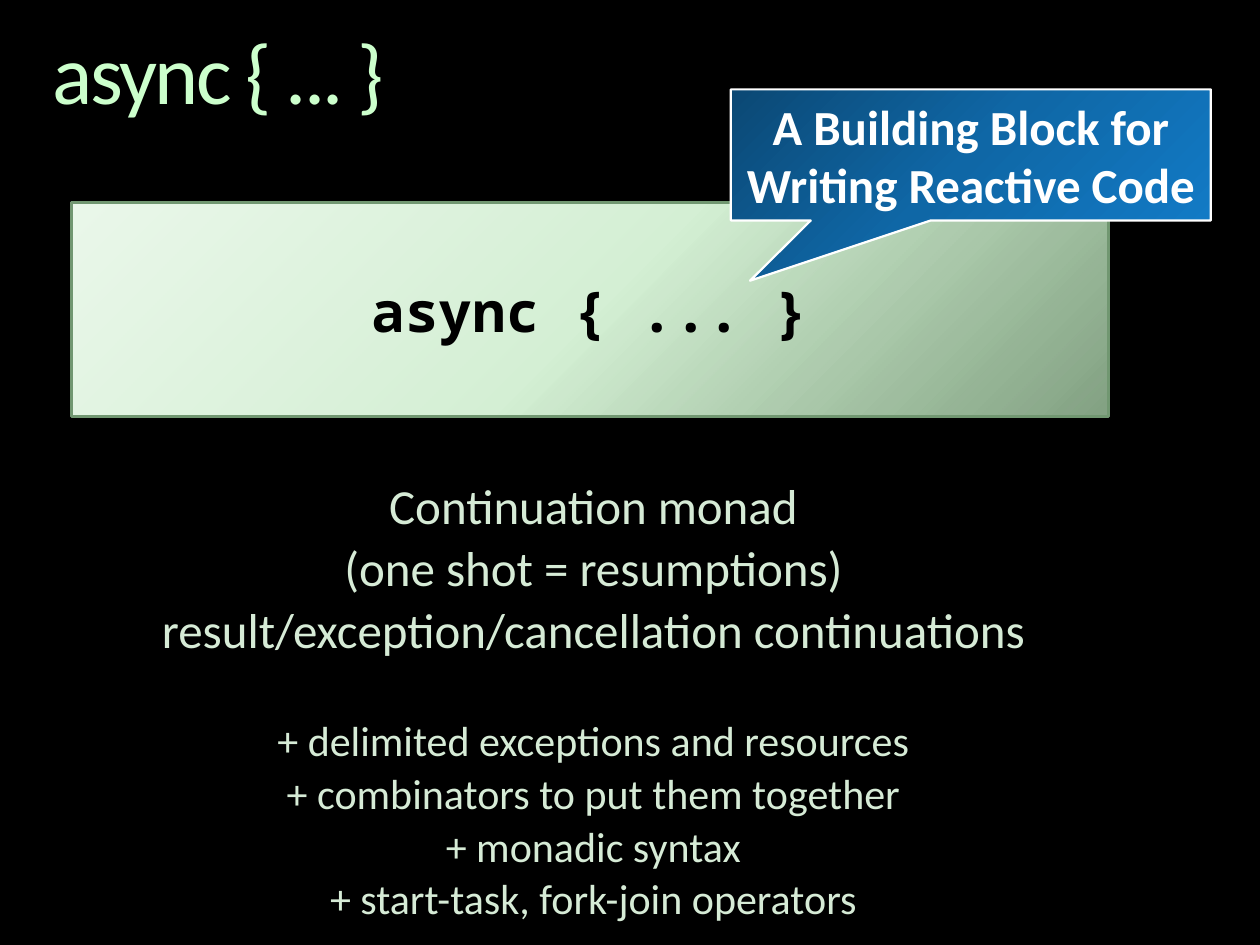
"""Build the async building block slide."""
from lxml import etree
from pptx import Presentation
from pptx.dml.color import RGBColor
from pptx.enum.shapes import MSO_SHAPE
from pptx.enum.text import MSO_ANCHOR, PP_ALIGN
from pptx.oxml.ns import qn
from pptx.util import Inches, Pt

RECT, CALLOUT = MSO_SHAPE.RECTANGLE, MSO_SHAPE.RECTANGULAR_CALLOUT
LEFT, CENTER = PP_ALIGN.LEFT, PP_ALIGN.CENTER
TOP, MIDDLE = MSO_ANCHOR.TOP, MSO_ANCHOR.MIDDLE
BLACK, WHITE = RGBColor(0, 0, 0), RGBColor(255, 255, 255)
MINT, PALE = RGBColor(0xCC, 0xFF, 0xCC), RGBColor(0xD6, 0xEB, 0xD6)
GREEN = RGBColor(0x71, 0x97, 0x71)

# text, size, space before
TITLE = [("async { ... }", 48, 0)]
BODY = [
    ("Continuation monad", 28, 0),
    ("(one shot = resumptions)", 28, 5),
    ("result/exception/cancellation continuations", 28, 5),
    ("+ delimited exceptions and resources", 24, 35),
    ("+ combinators to put them together", 24, 4.3),
    ("+ monadic syntax", 24, 4.3),
    ("+ start-task, fork-join operators", 24, 4.3),
]
CODE = [("async { ... }", 32, 0)]
NOTE = [("A Building Block for", 28, 0), ("Writing Reactive Code", 28, 0)]

PLAIN = {"name": "Calibri", "bold": False}
STRONG = {"name": "Calibri", "bold": True}
MONO = {"name": "Noto Sans Mono", "bold": True}

# kind, place, stops (position, colour, alpha), angle, line colour, line width
PANEL = (RECT, (0.57, 1.61, 8.23, 1.7),
         [(0, "BBE7BB", 69), (50, "D4EFD4", 100), (100, "EAF7EA", 100)],
         225, GREEN, 1.75)
BUBBLE = (CALLOUT, (5.8, 0.71, 3.81, 1.04),
          [(0, "0B4874", 100), (50, "0F67A6", 100), (100, "127AC5", 100)],
          45, WHITE, 1.25)


def write(shape, rows, style, color, align, anchor, inset, ratio=1.0, wrap=True):
    frame = shape.text_frame
    frame.word_wrap, frame.vertical_anchor = wrap, anchor
    for side in ("left", "top", "right", "bottom"):
        setattr(frame, f"margin_{side}", Inches(inset))
    for i, (text, size, gap) in enumerate(rows):
        para = frame.add_paragraph() if i else frame.paragraphs[0]
        para.alignment, para.line_spacing = align, ratio
        para.space_before = Pt(gap)
        run = para.add_run()
        run.text = text
        for key, value in {**style, "size": Pt(size)}.items():
            setattr(run.font, key, value)
        run.font.color.rgb = color
    return frame


def shade(shape, stops, angle):
    shape.fill.gradient()
    grad = shape._element.spPr.find(qn("a:gradFill"))
    for child in list(grad):
        grad.remove(child)
    group = etree.SubElement(grad, qn("a:gsLst"))
    for pos, color, alpha in stops:
        stop = etree.SubElement(group, qn("a:gs"), pos=str(pos * 1000))
        tint = etree.SubElement(stop, qn("a:srgbClr"), val=color)
        if alpha < 100:
            etree.SubElement(tint, qn("a:alpha"), val=str(alpha * 1000))
    etree.SubElement(grad, qn("a:lin"), ang=str(angle * 60000), scaled="0")


def draw(slide, kind, place, stops, angle, color, width):
    shape = slide.shapes.add_shape(kind, *map(Inches, place))
    shape.shadow.inherit = False
    shade(shape, stops, angle)
    shape.line.color.rgb, shape.line.width = color, Pt(width)
    return shape


def main():
    deck = Presentation()
    deck.slide_width, deck.slide_height = Inches(10), Inches(7.5)
    slide = deck.slides.add_slide(deck.slide_layouts[6])
    back = slide.background.fill
    back.solid()
    back.fore_color.rgb = BLACK

    head = slide.shapes.add_textbox(*map(Inches, (0.42, 0.25, 9.17, 0.73)))
    frame = write(head, TITLE, PLAIN, MINT, LEFT, TOP, 0, 0.9)
    frame.paragraphs[0].runs[0].font._element.set("spc", "-150")

    body = slide.shapes.add_textbox(*map(Inches, (0.31, 3.83, 8.8, 2.87)))
    write(body, BODY, PLAIN, PALE, CENTER, TOP, 0, 0.9)

    panel = draw(slide, *PANEL)
    write(panel, CODE, MONO, BLACK, CENTER, MIDDLE, 0.04)

    bubble = draw(slide, *BUBBLE)
    bubble.adjustments[0], bubble.adjustments[1] = -0.46, 0.96
    write(bubble, NOTE, STRONG, WHITE, CENTER, MIDDLE, 0.05, wrap=False)

    deck.save("out.pptx")


if __name__ == "__main__":
    main()
